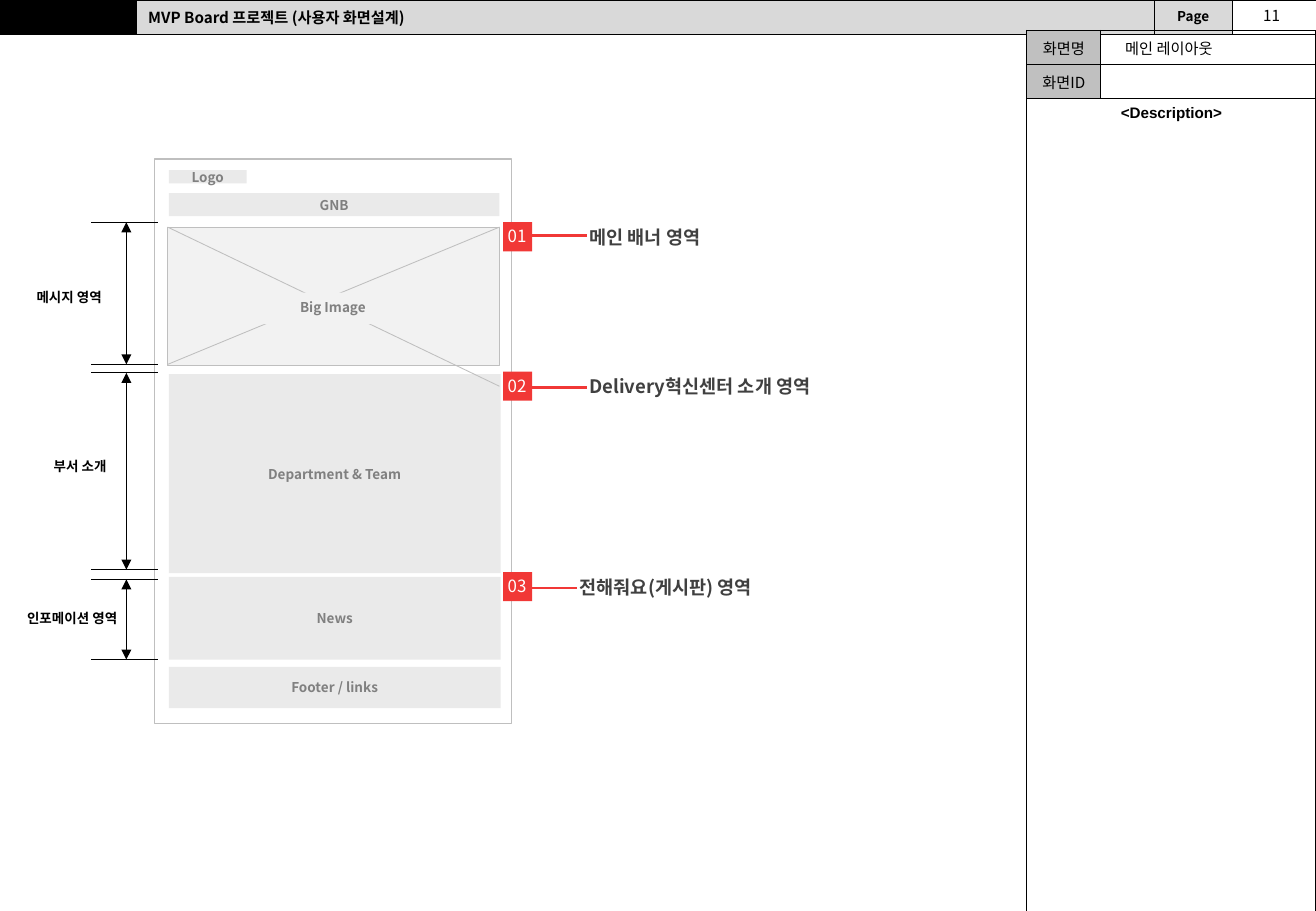
from dataclasses import dataclass
from typing import NamedTuple, Optional

from lxml.etree import SubElement
from pptx import Presentation
from pptx.dml.color import RGBColor
from pptx.enum.shapes import MSO_CONNECTOR, MSO_SHAPE
from pptx.enum.text import MSO_ANCHOR, MSO_AUTO_SIZE, PP_ALIGN
from pptx.oxml.ns import qn
from pptx.util import Inches, Pt


@dataclass(frozen=True)
class Theme:
    font: str = "Noto Sans CJK KR"
    latin: str = "Arial"
    black: str = "000000"
    white: str = "FFFFFF"
    bar: str = "D9D9D9"
    label: str = "C0C0C0"
    block: str = "EAEAEA"
    image: str = "F2F2F2"
    outline: str = "BFBFBF"
    muted: str = "808080"
    callout: str = "404040"
    red: str = "F13836"
    small: float = 8
    body: float = 9
    number: float = 10
    heading: float = 11


T = Theme()


class Box(NamedTuple):
    left: float
    top: float
    width: float
    height: float


@dataclass(frozen=True)
class Block:
    box: Box
    text: str = ""
    fill: Optional[str] = T.block
    line: Optional[str] = None
    weight: float = 0.5
    wrap: bool = True
    anchor: MSO_ANCHOR = MSO_ANCHOR.MIDDLE


@dataclass(frozen=True)
class Span:
    top: float
    bottom: float
    text: str
    box: Box


@dataclass(frozen=True)
class Callout:
    number: str
    top: float
    line_y: float
    text_left: float
    text_width: float
    text: str


def write(tf, text: str, *, size: float = T.body, color: str = T.black, bold: bool = False,
          font: str = T.font, align: PP_ALIGN = PP_ALIGN.LEFT, after: float = 0) -> None:
    p = tf.paragraphs[0]
    p.alignment = align
    if after:
        p.space_after = Pt(after)
    r = p.add_run()
    r.text = text
    r.font.size, r.font.bold, r.font.name = Pt(size), bold, font
    r.font.color.rgb = RGBColor.from_string(color)
    SubElement(r.font._element, qn("a:ea")).set("typeface", font)


def add_text(slide, box: Box, text: str, *, anchor: MSO_ANCHOR = MSO_ANCHOR.TOP, **style) -> None:
    tf = slide.shapes.add_textbox(*map(Inches, box)).text_frame
    tf.word_wrap = True
    tf.vertical_anchor = anchor
    write(tf, text, **style)


def add_block(slide, block: Block) -> None:
    sp = slide.shapes.add_shape(MSO_SHAPE.RECTANGLE, *map(Inches, block.box))
    sp.shadow.inherit = False
    if block.fill:
        sp.fill.solid()
        sp.fill.fore_color.rgb = RGBColor.from_string(block.fill)
    else:
        sp.fill.background()
    if block.line:
        sp.line.color.rgb = RGBColor.from_string(block.line)
        sp.line.width = Pt(block.weight)
    else:
        sp.line.fill.background()
    if block.text:
        tf = sp.text_frame
        tf.word_wrap = block.wrap
        tf.vertical_anchor = block.anchor
        write(tf, block.text, size=T.small, color=T.muted, bold=True, align=PP_ALIGN.CENTER)


def add_line(slide, x1: float, y1: float, x2: float, y2: float, *, color: str = T.black,
             weight: float = 0.75, arrows: bool = False) -> None:
    cx = slide.shapes.add_connector(MSO_CONNECTOR.STRAIGHT, *map(Inches, (x1, y1, x2, y2)))
    cx.line.color.rgb = RGBColor.from_string(color)
    cx.line.width = Pt(weight)
    if arrows:
        for end in ("a:headEnd", "a:tailEnd"):
            SubElement(cx.line._get_or_add_ln(), qn(end)).set("type", "triangle")
    SubElement(cx._element.spPr, qn("a:effectLst"))


def format_cell(cell, fill: Optional[str], weight: float) -> None:
    tcPr = cell._tc.get_or_add_tcPr()
    for side in ("a:lnL", "a:lnR", "a:lnT", "a:lnB"):
        ln = SubElement(tcPr, qn(side))
        ln.set("w", str(Pt(weight)))
        SubElement(SubElement(ln, qn("a:solidFill")), qn("a:srgbClr")).set("val", T.black)
    if fill:
        cell.fill.solid()
        cell.fill.fore_color.rgb = RGBColor.from_string(fill)
    else:
        cell.fill.background()
    end = cell.text_frame.paragraphs[0]._p.get_or_add_endParaRPr()
    end.set("sz", str(int(T.body * 100)))


def add_grid(slide, box: Box, cols: list[float], rows: list[float],
             fills: list[list[Optional[str]]], weight: float):
    table = slide.shapes.add_table(len(rows), len(cols), *map(Inches, box)).table
    table.first_row = table.horz_banding = False
    for col, width in zip(table.columns, cols):
        col.width = Inches(width)
    for i, height in enumerate(rows):
        table.rows[i].height = Inches(height)
        for j, fill in enumerate(fills[i]):
            format_cell(table.cell(i, j), fill, weight)
    return table


def add_span(slide, span: Span) -> None:
    for y in (span.top, span.bottom):
        add_line(slide, 0.75, y, 1.3, y)
    add_line(slide, 1.04, span.top, 1.04, span.bottom, arrows=True)
    add_text(slide, span.box, span.text, size=T.small, bold=True, align=PP_ALIGN.CENTER)


def add_callout(slide, c: Callout) -> None:
    add_block(slide, Block(Box(4.14, c.top + 0.02, 0.24, 0.24), fill=T.red))
    add_text(slide, Box(4.08, c.top, 0.37, 0.27), c.number, size=T.number, color=T.white)
    add_line(slide, 4.35, c.line_y, c.text_left + 0.08, c.line_y, color=T.red, weight=1.5)
    add_text(slide, Box(c.text_left, c.top, c.text_width, 0.29), c.text, size=T.heading,
             color=T.callout, bold=True, after=6)


PAGE_BLOCKS = [
    Block(Box(1.27, 1.31, 2.94, 4.65), fill=None, line=T.outline, weight=0.75),
    Block(Box(1.39, 1.4, 0.64, 0.11), "Logo", wrap=False),
    Block(Box(1.39, 1.59, 2.72, 0.19), "GNB"),
    Block(Box(1.39, 3.08, 2.73, 1.64), "Department & Team"),
    Block(Box(1.39, 4.75, 2.73, 0.68), "News"),
    Block(Box(1.39, 5.49, 2.73, 0.34), "Footer / links"),
    Block(Box(1.38, 1.87, 2.73, 1.14), fill=T.image, line=T.outline),
]
IMAGE_LABEL = Block(Box(1.69, 2.41, 2.1, 0.26), "Big Image", fill=T.image, anchor=MSO_ANCHOR.TOP)
SPANS = [
    Span(1.83, 3, "메시지 영역", Box(0.1, 2.33, 0.94, 0.24)),
    Span(3.07, 4.69, "부서 소개", Box(0.29, 3.72, 0.74, 0.24)),
    Span(4.77, 5.43, "인포메이션 영역", Box(0.03, 4.97, 1.13, 0.24)),
]
CALLOUTS = [
    Callout("01", 1.81, 1.94, 4.75, 3.35, "메인 배너 영역"),
    Callout("02", 3.04, 3.19, 4.75, 3.54, "Delivery혁신센터 소개 영역"),
    Callout("03", 4.69, 4.84, 4.67, 3.62, "전해줘요(게시판) 영역"),
]


def main() -> None:
    prs = Presentation()
    prs.slide_width, prs.slide_height = Inches(10.83), Inches(7.5)
    slide = prs.slides.add_slide(prs.slide_layouts[5])

    title = slide.shapes.title
    title.left, title.top, title.width, title.height = map(Inches, (9.16, 0.27, 1.02, 0.25))
    tf = title.text_frame
    tf.auto_size = MSO_AUTO_SIZE.NONE
    tf.vertical_anchor = MSO_ANCHOR.TOP
    write(tf, "메인 레이아웃")

    header = add_grid(slide, Box(0, 0, 10.83, 0.25), [1.12, 8.38, 0.64, 0.69], [0.25],
                      [[T.black, T.bar, T.bar, None]], 0.5)
    write(header.cell(0, 1).text_frame, "MVP Board 프로젝트 (사용자 화면설계)", bold=True)
    write(header.cell(0, 2).text_frame, "Page", size=T.small, bold=True, align=PP_ALIGN.CENTER)

    info = add_grid(slide, Box(8.45, 0.25, 2.38, 7.24), [0.61, 1.77], [0.25, 0.25, 6.74],
                    [[T.label, None], [T.label, None], [None, None]], 0.75)
    info.cell(2, 0).merge(info.cell(2, 1))
    for i, label in enumerate(("화면명", "화면ID")):
        write(info.cell(i, 0).text_frame, label, align=PP_ALIGN.CENTER)
    write(info.cell(2, 0).text_frame, "<Description>", bold=True, font=T.latin,
          align=PP_ALIGN.CENTER)
    add_text(slide, Box(10.1, -0.02, 0.73, 0.29), "11", anchor=MSO_ANCHOR.MIDDLE,
             align=PP_ALIGN.CENTER)

    for block in PAGE_BLOCKS:
        add_block(slide, block)
    add_line(slide, 1.38, 3, 4.11, 1.87, color=T.outline, weight=0.5)
    add_line(slide, 1.38, 1.87, 4.11, 3.18, color=T.outline, weight=0.5)
    add_block(slide, IMAGE_LABEL)
    for span in SPANS:
        add_span(slide, span)
    for callout in CALLOUTS:
        add_callout(slide, callout)
    prs.save("out.pptx")


if __name__ == "__main__":
    main()
